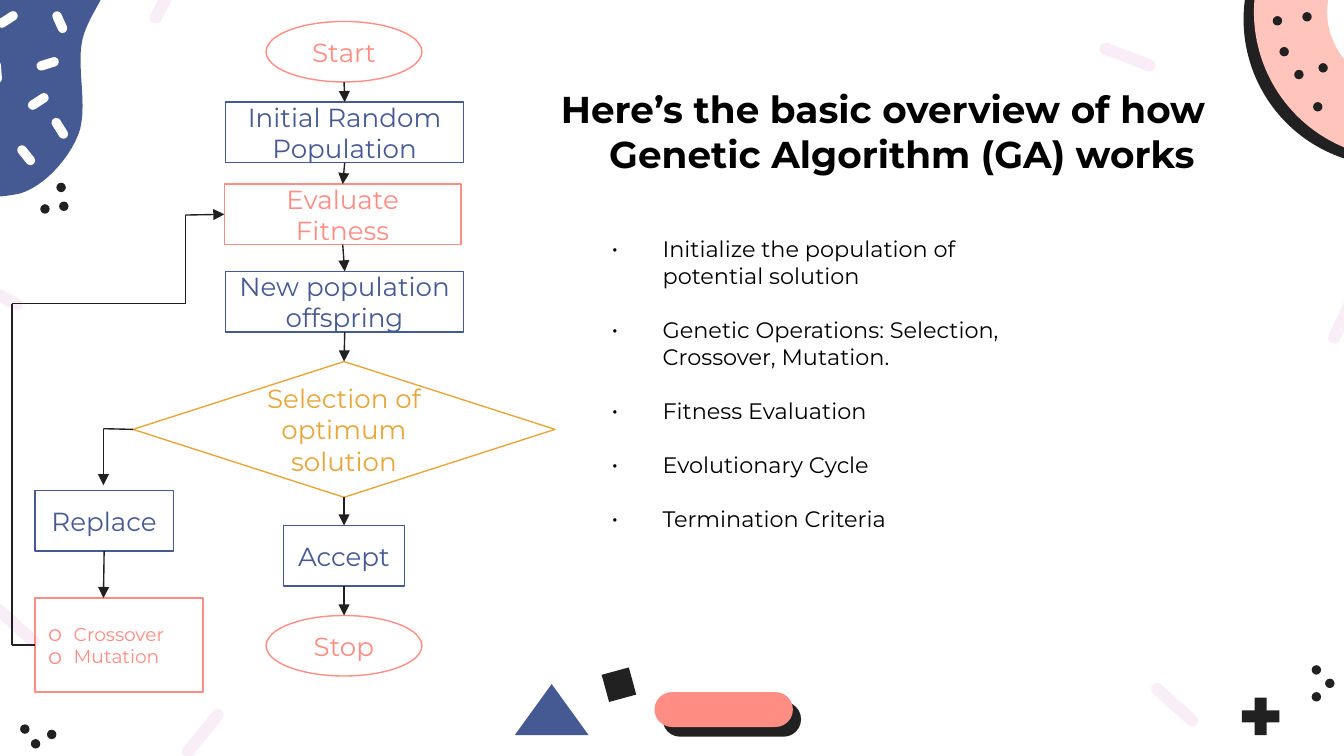
from lxml import etree
from pptx import Presentation
from pptx.dml.color import RGBColor
from pptx.enum.shapes import MSO_CONNECTOR, MSO_SHAPE as SHAPE
from pptx.enum.text import MSO_ANCHOR as ANCHOR, MSO_AUTO_SIZE, PP_ALIGN as ALIGN
from pptx.oxml.ns import qn
from pptx.util import Inches, Pt

FONT = "Montserrat"
BLACK, DARK, WHITE = "000000", "212121", "FFFFFF"
BLUE, CORAL, AMBER = "455A93", "FF8D83", "E8A63A"
PINK, PALE, LINE = "FFC5BD", "F9EDF7", "202020"
TOP, LEFT, BOTTOM, RIGHT = range(4)

# Outline of the blue corner blob: a start point, then cubic Bezier segments
BLOB_START = (-0.48, 1.27)
BLOB_CURVES = [
    [(-0.39, 1.51), (-0.03, 1.48), (0.15, 1.44)],
    [(0.32, 1.39), (0.5, 1.2), (0.58, 1.01)],
    [(0.66, 0.82), (0.57, 0.51), (0.61, 0.31)],
    [(0.65, 0.12), (0.8, -0.03), (0.81, -0.17)],
    [(0.82, -0.3), (0.84, -0.43), (0.69, -0.48)],
    [(0.54, -0.53), (0.1, -0.56), (-0.08, -0.48)],
    [(-0.27, -0.4), (-0.33, -0.29), (-0.4, 0)],
    [(-0.46, 0.29), (-0.57, 1.03), (-0.48, 1.27)],
]


def color(hex_value):
    return RGBColor.from_string(hex_value)


def add_run(p, text, size, hex_value, bold=False):
    r = p.add_run()
    r.text = text
    r.font.name, r.font.size, r.font.bold = FONT, Pt(size), bold
    r.font.color.rgb = color(hex_value)


def add_bullet(p, char, indent, hex_value, percent=100):
    pPr = p._p.get_or_add_pPr()
    pPr.set("marL", str(Inches(indent)))
    pPr.set("indent", str(-Inches(indent)))
    clr = etree.SubElement(pPr, qn("a:buClr"))
    etree.SubElement(clr, qn("a:srgbClr"), val=hex_value)
    etree.SubElement(pPr, qn("a:buSzPct"), val=str(percent * 1000))
    etree.SubElement(pPr, qn("a:buFont"), typeface=FONT)
    etree.SubElement(pPr, qn("a:buChar"), char=char)


def place(sp, x, y, w, h):
    sp.left, sp.top, sp.width, sp.height = (Inches(v) for v in (x, y, w, h))


def add_decor(s, kind, box, fill, rotation=0, adj=None):
    sp = s.shapes.add_shape(kind, *(Inches(v) for v in box))
    sp.shadow.inherit = False
    sp.fill.solid()
    sp.fill.fore_color.rgb = color(fill)
    sp.line.fill.background()
    sp.rotation = rotation
    if adj is not None:
        sp.adjustments[0] = adj
    return sp


def add_hard_shadow(sp, angle):
    effects = sp._element.spPr.find(qn("a:effectLst"))
    shadow = etree.SubElement(effects, qn("a:outerShdw"), blurRad="0", dist=str(Pt(6.8)),
                              dir=str(angle * 60000), algn="bl", rotWithShape="0")
    etree.SubElement(shadow, qn("a:srgbClr"), val=DARK)


def add_blob(s, fill, steps=12):
    points, start = [], BLOB_START
    for c1, c2, end in BLOB_CURVES:
        for t in (i / steps for i in range(1, steps + 1)):
            u = 1 - t
            points.append(tuple(
                Inches(u**3 * a + 3 * u * u * t * b + 3 * u * t * t * c + t**3 * d)
                for a, b, c, d in zip(start, c1, c2, end)))
        start = end
    builder = s.shapes.build_freeform(*(Inches(v) for v in BLOB_START))
    builder.add_line_segments(points, close=True)
    sp = builder.convert_to_shape()
    sp.shadow.inherit = False
    sp.fill.solid()
    sp.fill.fore_color.rgb = color(fill)
    sp.line.fill.background()


def add_node(s, kind, box, hex_value, text=""):
    sp = s.shapes.add_shape(kind, *(Inches(v) for v in box))
    sp.shadow.inherit = False
    sp.fill.background()
    sp.line.color.rgb = color(hex_value)
    sp.line.width = Pt(0.75)
    tf = sp.text_frame
    tf.word_wrap, tf.vertical_anchor = True, ANCHOR.MIDDLE
    if text:
        tf.paragraphs[0].alignment = ALIGN.CENTER
        add_run(tf.paragraphs[0], text, 14, hex_value)
    return sp


def add_link(s, start, end, arrow=True):
    """Each end is an (x, y) point or a (shape, side) pair."""
    def locate(a, b):
        if isinstance(a, (int, float)):
            return Inches(a), Inches(b)
        fx, fy = [(0.5, 0), (0, 0.5), (0.5, 1), (1, 0.5)][b]
        return a.left + int(a.width * fx), a.top + int(a.height * fy)

    c = s.shapes.add_connector(MSO_CONNECTOR.STRAIGHT, *locate(*start), *locate(*end))
    for target, join in ((start, c.begin_connect), (end, c.end_connect)):
        if not isinstance(target[0], (int, float)):
            join(*target)
    c.line.color.rgb = color(LINE)
    c.line.width = Pt(0.75)
    if arrow:
        etree.SubElement(c.line._get_or_add_ln(), qn("a:tailEnd"), type="triangle")
    etree.SubElement(c._element.spPr, qn("a:effectLst"))


def add_decorations(s):
    # Bottom shapes
    pill = add_decor(s, SHAPE.ROUNDED_RECTANGLE, (4.87, 5.15, 1.03, 0.26), CORAL, adj=0.5)
    add_hard_shadow(pill, 50)
    add_decor(s, SHAPE.MATH_PLUS, (9.19, 5.14, 0.38, 0.38), DARK)
    add_decor(s, SHAPE.ISOSCELES_TRIANGLE, (3.83, 5.09, 0.55, 0.38), BLUE)
    add_decor(s, SHAPE.RECTANGLE, (4.5, 4.99, 0.21, 0.21), DARK, 164.7)

    # Corner donut and blob
    donut = add_decor(s, SHAPE.DONUT, (9.33, -1, 2.18, 2.18), PINK, adj=0.25)
    add_hard_shadow(donut, 145)
    add_blob(s, BLUE)

    # Pale streaks, and white sprinkles on the blob
    streaks = [(1.29, 5.41, 308.9), (8.52, 5.2, 42), (9.78, 2.31, 115), (-0.25, 2.14, 27.3),
               (1.02, -0.07, 297.6), (8.17, 0.38, 20.6), (-0.1, 4.61, 42.1)]
    sprinkles = [(0.11, 1.12, 51.1), (0.2, 0.72, 147.1), (-0.11, 0.5, 85.6), (0.27, 0.44, 342.6),
                 (-0.03, 0.11, 147.1), (0.36, 0.13, 245.9), (0.36, 0.92, 57.9)]
    for bars, w, h, fill in ((streaks, 0.44, 0.09, PALE), (sprinkles, 0.17, 0.07, WHITE)):
        for x, y, angle in bars:
            add_decor(s, SHAPE.ROUNDED_RECTANGLE, (x, y, w, h), fill, angle, 0.5)

    # Dots: donut seeds, then the three corner trios
    for x, y in [(9.77, 0.76), (9.81, 0.47), (9.52, 0.35), (9.69, 0.09), (9.47, 0.12), (9.63, 0.52),
                 (9.76, 5.15), (9.76, 4.95), (9.86, 5.05), (0.15, 5.39), (0.35, 5.43), (0.23, 5.5),
                 (0.3, 1.52), (0.42, 1.36), (0.44, 1.5)]:
        add_decor(s, SHAPE.OVAL, (x, y, 0.07, 0.07), DARK)


def fill_title(title, text):
    place(title, 3.14, 0.59, 5.93, 0.77)
    tf = title.text_frame
    tf.word_wrap, tf.auto_size, tf.vertical_anchor = True, MSO_AUTO_SIZE.NONE, ANCHOR.TOP
    tf.paragraphs[0].alignment = ALIGN.RIGHT
    add_run(tf.paragraphs[0], text, 20, BLACK, bold=True)


def fill_list(body, items):
    place(body, 4.45, 1.7, 3.32, 2.52)
    tf = body.text_frame
    tf.word_wrap, tf.auto_size = True, MSO_AUTO_SIZE.NONE
    for i, item in enumerate(items):
        p = tf.add_paragraph() if i else tf.paragraphs[0]
        p.space_before = Pt(14.6 if i else 0)
        add_bullet(p, "•", 0.38, BLACK)
        add_run(p, item, 12, BLACK)


def add_flowchart(s):
    # Main column
    add_node(s, SHAPE.OVAL, (1.98, 0.16, 1.16, 0.45), CORAL, "Start")
    initial = add_node(s, SHAPE.RECTANGLE, (1.68, 0.76, 1.77, 0.45), BLUE, "Initial Random Population")
    evaluate = add_node(s, SHAPE.RECTANGLE, (1.67, 1.37, 1.76, 0.45), CORAL, "Evaluate Fitness")
    offspring = add_node(s, SHAPE.RECTANGLE, (1.68, 2.02, 1.77, 0.45), BLUE, "New population offspring")
    selection = add_node(s, SHAPE.FLOWCHART_DECISION, (0.99, 2.69, 3.14, 1.01), AMBER,
                         "Selection of optimum solution")
    accept = add_node(s, SHAPE.RECTANGLE, (2.11, 3.91, 0.9, 0.45), BLUE, "Accept")
    stop = add_node(s, SHAPE.OVAL, (1.98, 4.58, 1.16, 0.45), CORAL, "Stop")

    # Replacement branch
    replace = add_node(s, SHAPE.RECTANGLE, (0.26, 3.65, 1.03, 0.45), BLUE, "Replace")
    operators = add_node(s, SHAPE.RECTANGLE, (0.26, 4.45, 1.25, 0.7), CORAL)
    tf = operators.text_frame
    for p, text in zip((tf.paragraphs[0], tf.add_paragraph()), ("Crossover", "Mutation")):
        p.alignment = ALIGN.LEFT
        add_bullet(p, "o", 0.19, CORAL, 120)
        add_run(p, text, 10, CORAL)

    # Arrows down the main column
    add_link(s, (2.56, 0.61), (initial, TOP))
    column = [initial, evaluate, offspring, selection, accept, stop]
    for upper, lower in zip(column, column[1:]):
        add_link(s, (upper, BOTTOM), (lower, TOP))

    # Branch to replacement, and the loop back to evaluation
    add_link(s, (selection, LEFT), (0.77, 3.19), arrow=False)
    add_link(s, (0.77, 3.19), (0.77, 3.61))
    add_link(s, (replace, BOTTOM), (0.77, 4.45))
    loop = [(operators, LEFT), (0.09, 4.8), (0.09, 2.26), (1.38, 2.26), (1.38, 1.6), (evaluate, LEFT)]
    for start, end in zip(loop, loop[1:]):
        add_link(s, start, end, arrow=end is loop[-1])


def main():
    prs = Presentation()
    prs.slide_width, prs.slide_height = Inches(10), Inches(10 * 9 / 16)
    s = prs.slides.add_slide(prs.slide_layouts[1])
    add_decorations(s)
    fill_title(s.shapes.title, "Here’s the basic overview of how Genetic Algorithm (GA) works ")
    fill_list(s.placeholders[1], [
        "Initialize the population of potential solution",
        "Genetic Operations: Selection, Crossover, Mutation.",
        "Fitness Evaluation",
        "Evolutionary Cycle",
        "Termination Criteria",
    ])
    add_flowchart(s)
    prs.save("out.pptx")


if __name__ == "__main__":
    main()
